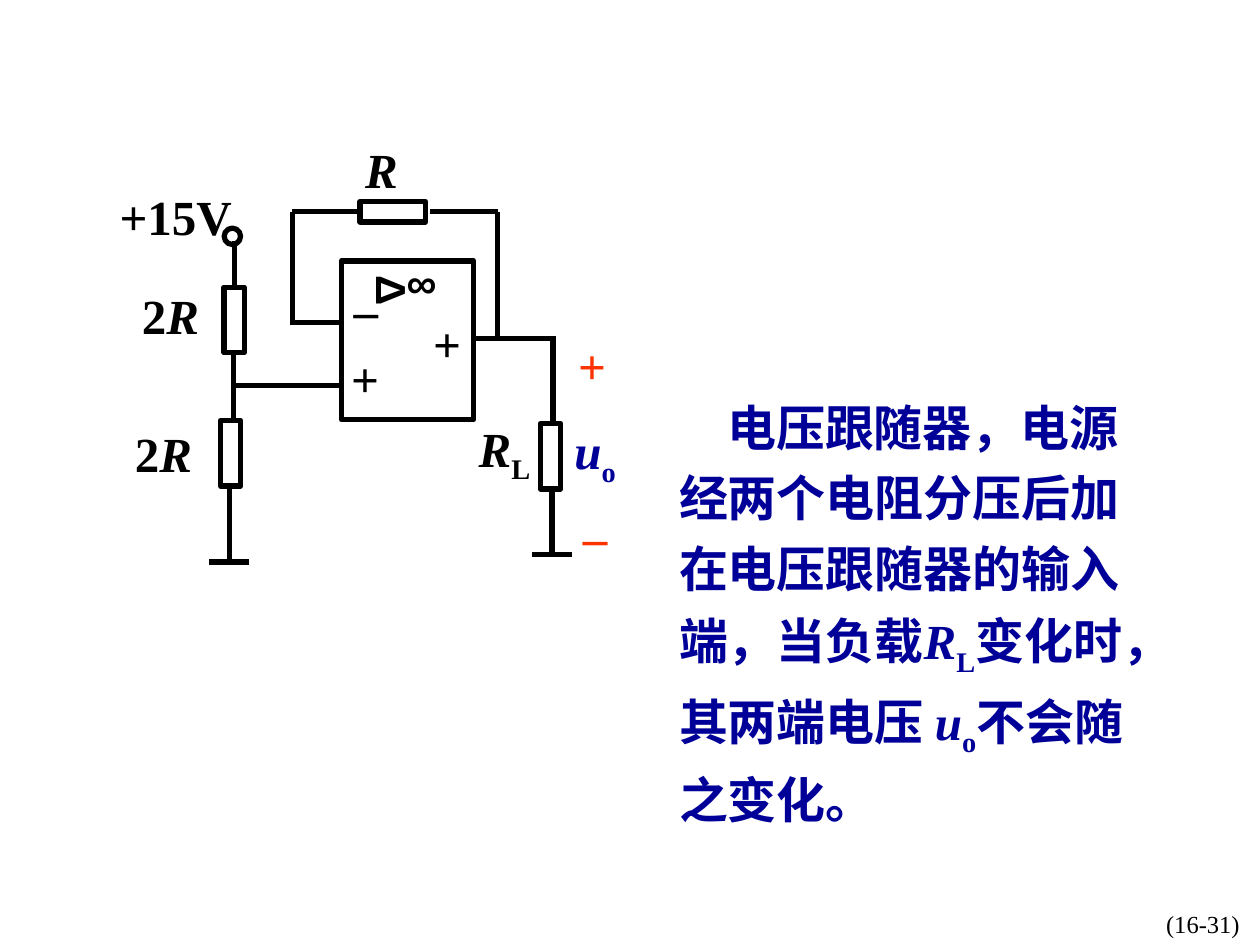
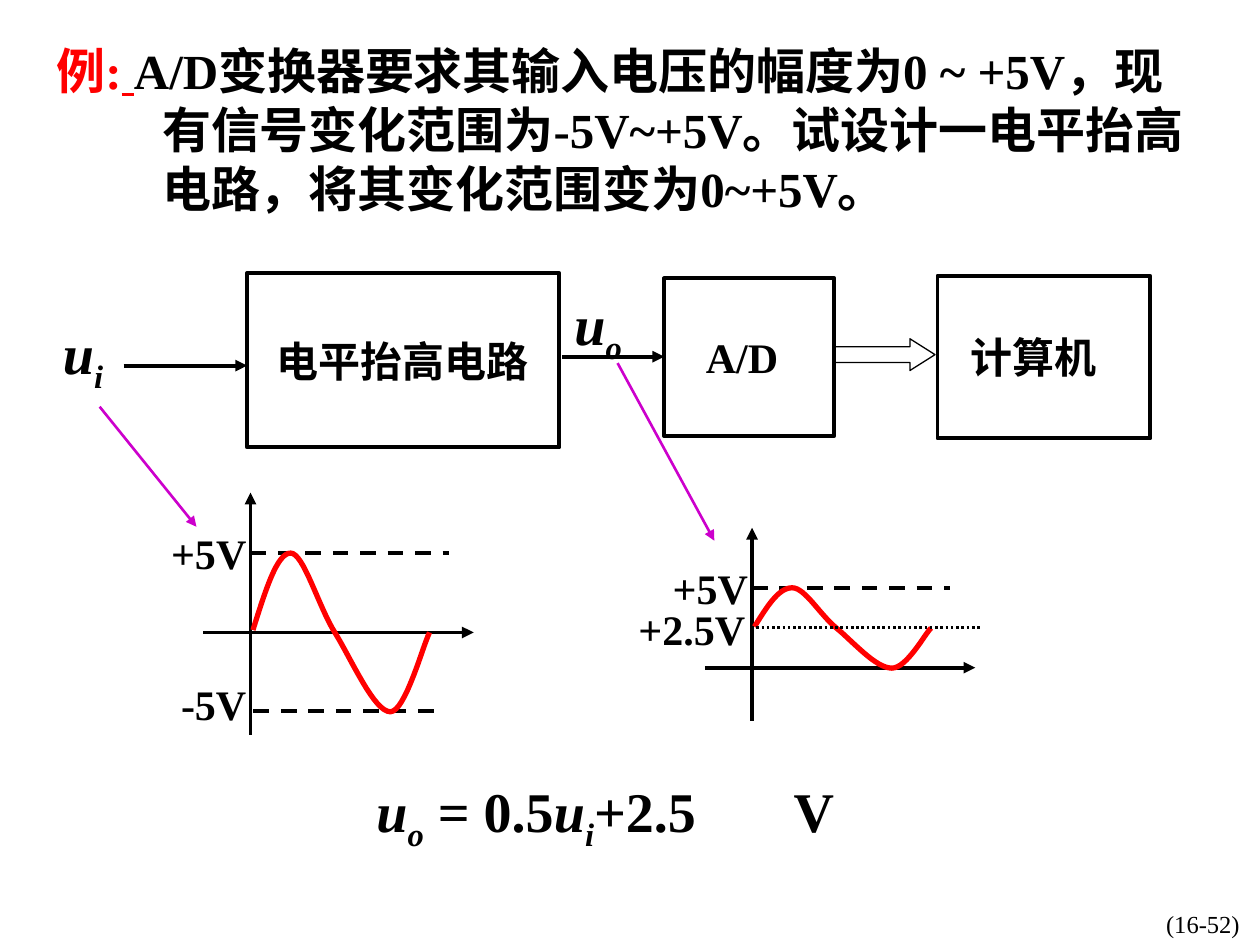
"""Builds two circuit slides: a voltage follower and a level-shift design example."""
from lxml.etree import SubElement
from pptx import Presentation
from pptx.dml.color import RGBColor
from pptx.enum.dml import MSO_LINE
from pptx.enum.shapes import MSO_CONNECTOR, MSO_SHAPE
from pptx.enum.text import MSO_ANCHOR, PP_ALIGN
from pptx.oxml.ns import qn
from pptx.util import Cm, Pt

BLACK = RGBColor(0x00, 0x00, 0x00)
NAVY = RGBColor(0x00, 0x00, 0x99)
ORANGE = RGBColor(0xFF, 0x33, 0x00)
RED = RGBColor(0xFF, 0x00, 0x00)
PURPLE = RGBColor(0xCC, 0x00, 0xCC)

BODY = {"name": "Times New Roman", "size": Pt(28), "bold": True}
LABEL = {**BODY, "size": Pt(24)}
FORMULA = {**BODY, "size": Pt(32)}
SYMBOL = {**LABEL, "name": "Arial"}
FOOTER = {**BODY, "size": Pt(14), "bold": False}
ITALIC = {"italic": True}
SUBSCRIPT = {"baseline": "-25000"}
ITALIC_SUBSCRIPT = {**ITALIC, **SUBSCRIPT}

SINE_CONTROLS = [
    (0.05, 0.03), (0.3, 0.52), (0.53, 1), (0.81, 1), (1.07, 1), (1.37, 0.33), (1.7, 0),
    (2.03, -0.33), (2.49, -1), (2.82, -1), (3.12, -1), (3.48, -0.16), (3.61, 0),
]


def sample_bezier(controls, steps=16):
    points = [controls[0]]
    for first in range(0, len(controls) - 1, 3):
        curve = controls[first:first + 4]
        for step in range(1, steps + 1):
            t = step / steps
            weights = ((1 - t) ** 3, 3 * t * (1 - t) ** 2, 3 * t * t * (1 - t), t ** 3)
            points.append(tuple(
                sum(weight * point[axis] for weight, point in zip(weights, curve))
                for axis in (0, 1)))
    return points


class Deck:
    def __init__(self):
        self.presentation = Presentation()
        self.presentation.slide_width = Cm(25.4)
        self.presentation.slide_height = Cm(19.05)
        self.slide = None

    def new_slide(self, number):
        layout = self.presentation.slide_layouts.get_by_name("Blank")
        self.slide = self.presentation.slides.add_slide(layout)
        self.text(23.1, 18.21, 2.3, number, style=FOOTER, height=0.6,
                  alignment=PP_ALIGN.CENTER)

    def fill_frame(self, frame, runs, style, color, tab=None, **paragraph_format):
        frame.word_wrap = True
        paragraph = frame.paragraphs[0]
        if tab is not None:
            tabs = SubElement(paragraph._p.get_or_add_pPr(), qn("a:tabLst"))
            SubElement(tabs, qn("a:tab"), pos=str(Cm(tab)), algn="l")
        for name, value in paragraph_format.items():
            setattr(paragraph, name, value)
        for words, changes in [(runs, {})] if isinstance(runs, str) else runs:
            run = paragraph.add_run()
            run.text = words
            formats = {**style, "color": color, **changes}
            run.font.color.rgb = formats.pop("color")
            baseline = formats.pop("baseline", None)
            for name, value in formats.items():
                setattr(run.font, name, value)
            if baseline:
                run._r.get_or_add_rPr().set("baseline", baseline)

    def text(self, left, top, width, runs, style=BODY, color=BLACK, height=1.45,
             rotation=0, hanging=None, **paragraph_format):
        box = self.slide.shapes.add_textbox(Cm(left), Cm(top), Cm(width), Cm(height))
        box.rotation = rotation
        self.fill_frame(box.text_frame, runs, style, color, **paragraph_format)
        if hanging is not None:
            margin, indent = hanging
            properties = box.text_frame.paragraphs[0]._p.get_or_add_pPr()
            properties.set("marL", str(Cm(margin)))
            properties.set("indent", str(Cm(indent)))

    def outline(self, shape, color, weight):
        shape.shadow.inherit = False
        shape.fill.background()
        shape.line.color.rgb = color
        shape.line.width = Pt(weight)

    def shape(self, kind, left, top, width, height, weight=3):
        shape = self.slide.shapes.add_shape(kind, Cm(left), Cm(top), Cm(width), Cm(height))
        self.outline(shape, BLACK, weight)
        return shape

    def block(self, left, top, width, height, words, margin):
        shape = self.shape(MSO_SHAPE.RECTANGLE, left, top, width, height, 2.25)
        frame = shape.text_frame
        frame.margin_left, frame.margin_right = Cm(margin), 0
        frame.vertical_anchor = MSO_ANCHOR.MIDDLE
        self.fill_frame(frame, words, LABEL, BLACK, alignment=PP_ALIGN.LEFT)

    def line(self, x1, y1, x2, y2, weight=3, color=BLACK, dash=None, arrow=False):
        line = self.slide.shapes.add_connector(
            MSO_CONNECTOR.STRAIGHT, Cm(x1), Cm(y1), Cm(x2), Cm(y2))
        line.line.color.rgb = color
        line.line.width = Pt(weight)
        if dash:
            line.line.dash_style = dash
        if arrow:
            SubElement(line.line._get_or_add_ln(), qn("a:tailEnd"), type="triangle")
        SubElement(line._element.spPr, qn("a:effectLst"))

    def resistor(self, centre_x, centre_y, vertical=True):
        width, height = (0.41, 1.32) if vertical else (1.32, 0.41)
        self.shape(MSO_SHAPE.RECTANGLE, centre_x - width / 2, centre_y - height / 2,
                   width, height)

    def ground(self, x, top, bottom, half_width=0.4):
        self.line(x, top, x, bottom)
        self.line(x - half_width, bottom, x + half_width, bottom)

    def curve(self, points, color, weight):
        points = [(Cm(x), Cm(y)) for x, y in points]
        builder = self.slide.shapes.build_freeform(*points[0], scale=1.0)
        builder.add_line_segments(points[1:], close=False)
        self.outline(builder.convert_to_shape(), color, weight)

    def waveform(self, axis_x, axis_y, axis_top, axis_bottom, centre_y, amplitude):
        peak = centre_y - amplitude
        self.line(axis_x, peak, axis_x + 4, peak, 2.25, dash=MSO_LINE.DASH)
        self.line(axis_x - 0.95, axis_y, axis_x + 4.5, axis_y, 2.25, arrow=True)
        self.line(axis_x, axis_bottom, axis_x, axis_top, 2.25, arrow=True)
        self.curve([(axis_x + x, centre_y - amplitude * y)
                    for x, y in sample_bezier(SINE_CONTROLS)], RED, 3)
        self.text(axis_x - 1.85, peak - 0.64, 2.3, "+5V", LABEL)


def build_follower(deck):
    deck.new_slide("(16-31)")
    wires = [
        (10.03, 4.27, 10.03, 6.86), (5.89, 4.27, 5.89, 6.55),
        (8.66, 4.27, 10.03, 4.27), (5.89, 4.27, 7.26, 4.27),
        (4.67, 7.77, 6.91, 7.77), (9.53, 6.83, 11.18, 6.83),
        (5.87, 6.5, 6.88, 6.5), (4.7, 7.09, 4.7, 8.43),
        (11.15, 6.78, 11.15, 8.53), (4.72, 4.85, 4.72, 5.84),
    ]
    for wire in wires:
        deck.line(*wire)
    deck.ground(4.62, 9.8, 11.33)
    deck.ground(11.13, 9.91, 11.18)
    deck.resistor(7.92, 4.27, vertical=False)
    for centre in [(4.72, 6.45), (4.65, 9.14), (11.1, 9.2)]:
        deck.resistor(*centre)
    deck.shape(MSO_SHAPE.RECTANGLE, 6.88, 5.26, 2.67, 3.2)
    deck.shape(MSO_SHAPE.OVAL, 4.52, 4.6, 0.33, 0.33)

    twice_r = [("2", {}), ("R", ITALIC)]
    labels = [
        (6.83, 6.91, 1.2, "+"), (8.48, 6.2, 1.2, "+"), (6.88, 5.51, 1.7, "–"),
        (2.61, 5.64, 2.2, twice_r), (2.47, 8.41, 2.2, twice_r),
        (9.4, 8.31, 1.8, [("R", ITALIC), ("L", SUBSCRIPT)]),
        (2.16, 3.63, 3.2, "+15V"), (7.11, 2.69, 1.5, [("R", ITALIC)]),
    ]
    for label in labels:
        deck.text(*label)
    deck.text(7.95, 5.05, 2, "∞", SYMBOL)
    deck.text(7.16, 5.23, 1.52, "Δ", SYMBOL, height=1.27, rotation=90,
              alignment=PP_ALIGN.CENTER)
    output = [("u", ITALIC), ("o", SUBSCRIPT)]
    deck.text(11.33, 8.36, 1.98, output, color=NAVY)
    for left, top, width, sign in [(11.4, 6.63, 1.07, "+"), (11.18, 10.08, 1.63, "–")]:
        deck.text(left, top, width, sign, color=ORANGE, alignment=PP_ALIGN.CENTER)
    explanation = [
        ("电压跟随器，电源经两个电阻分压后加在电压跟随器的输入端，当负载", {}),
        ("R", ITALIC), ("L", SUBSCRIPT), ("变化时，其两端电压 ", {}),
        *output, ("不会随之变化。", {}),
    ]
    deck.text(13.44, 7.65, 10.21, explanation, color=NAVY, height=9.19,
              hanging=(0, 0.97), line_spacing=1.2)


def build_level_shift(deck):
    deck.new_slide("(16-52)")
    question = [
        ("例:", {"color": RED}), (" ", {"color": RED, "underline": True}),
        ("A/D变换器要求其输入电压的幅度为0 ~ +5V，现有信号变化范围为-5V~+5V。"
         "试设计一电平抬高电路，将其变化范围变为0~+5V。", {}),
    ]
    deck.text(0.89, 0.69, 23.72, question, height=3.81, hanging=(2.13, -2.13))

    deck.line(5.11, 14.34, 8.81, 14.34, 2.25, dash=MSO_LINE.DASH)
    deck.waveform(5.05, 12.75, 9.93, 14.81, 12.75, 1.6)
    deck.text(3.4, 13.56, 2.2, "-5V", LABEL)
    deck.waveform(15.16, 13.46, 10.64, 14.53, 12.66, 0.81)
    deck.line(15.14, 12.65, 19.79, 12.65, 1.5, dash=MSO_LINE.ROUND_DOT)
    deck.text(12.62, 12.04, 2.9, "+2.5V", LABEL)
    for pointer in [(2.01, 8.2, 3.96, 10.62), (12.45, 7.32, 14.4, 10.9)]:
        deck.line(*pointer, weight=1.5, color=PURPLE, arrow=True)

    deck.block(4.98, 5.51, 6.3, 3.51, "电平抬高电路", 0.6)
    deck.block(13.39, 5.61, 3.43, 3.18, "A/D", 0.84)
    deck.block(18.9, 5.56, 4.29, 3.28, "计算机", 0.66)
    for signal in [(2.49, 7.37, 4.98, 7.37), (11.33, 7.19, 13.39, 7.19)]:
        deck.line(*signal, weight=2.25, arrow=True)
    data_bus = deck.shape(MSO_SHAPE.RIGHT_ARROW, 16.84, 6.83, 2.01, 0.64, 0.75)
    data_bus.adjustments[0], data_bus.adjustments[1] = 0.5, 0.79

    signal_in = [("u", ITALIC), ("i", ITALIC_SUBSCRIPT)]
    signal_out = [("u", ITALIC), ("o", ITALIC_SUBSCRIPT)]
    deck.text(1.02, 6.3, 1.8, signal_in, FORMULA)
    deck.text(11.33, 5.72, 1.8, signal_out, FORMULA)
    deck.text(7.34, 15.52, 11,
              [*signal_out, (" = 0.5", {}), *signal_in, ("+2.5\tV", {})],
              FORMULA, tab=8.41)


def main():
    deck = Deck()
    build_follower(deck)
    build_level_shift(deck)
    deck.presentation.save("out.pptx")


if __name__ == "__main__":
    main()
